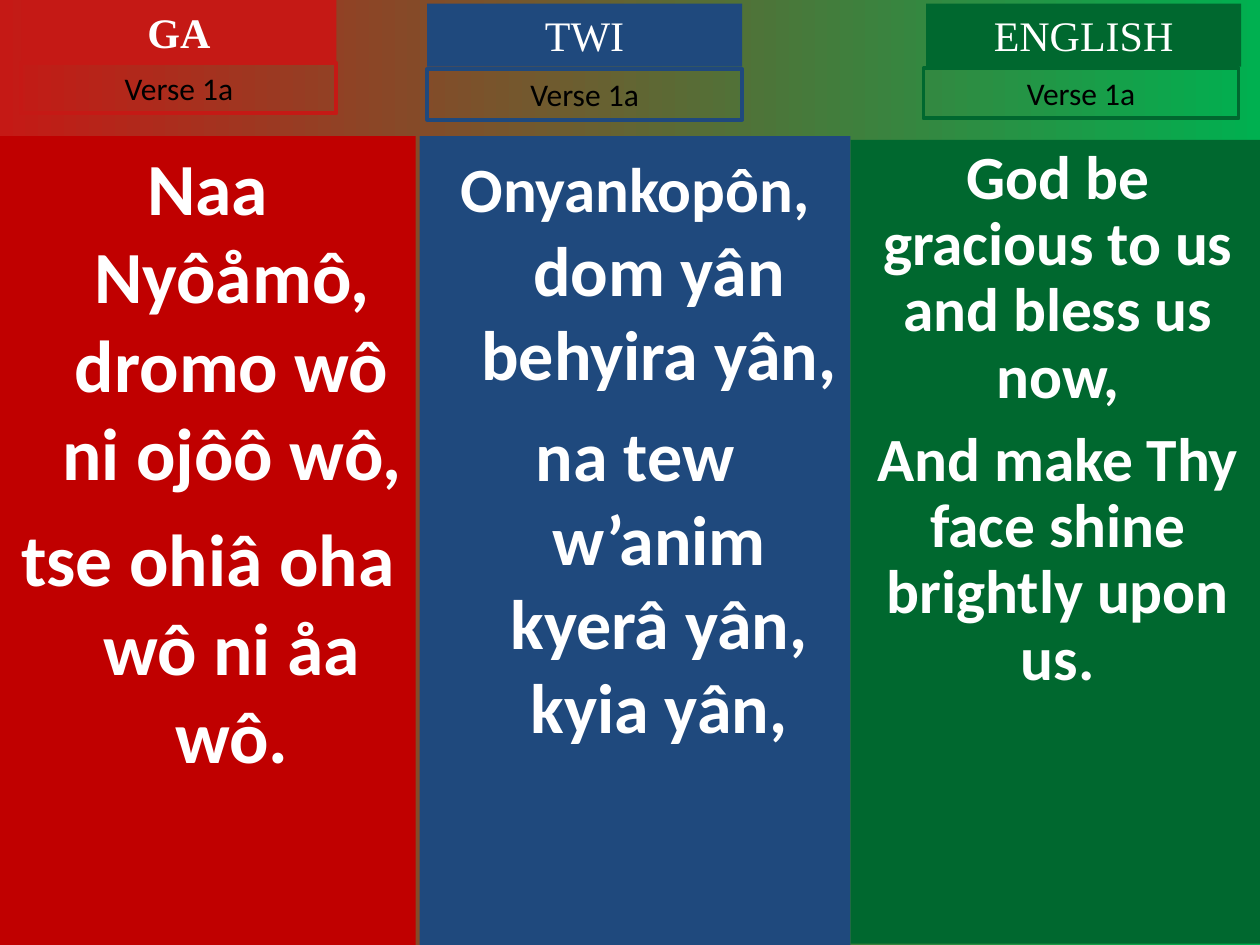
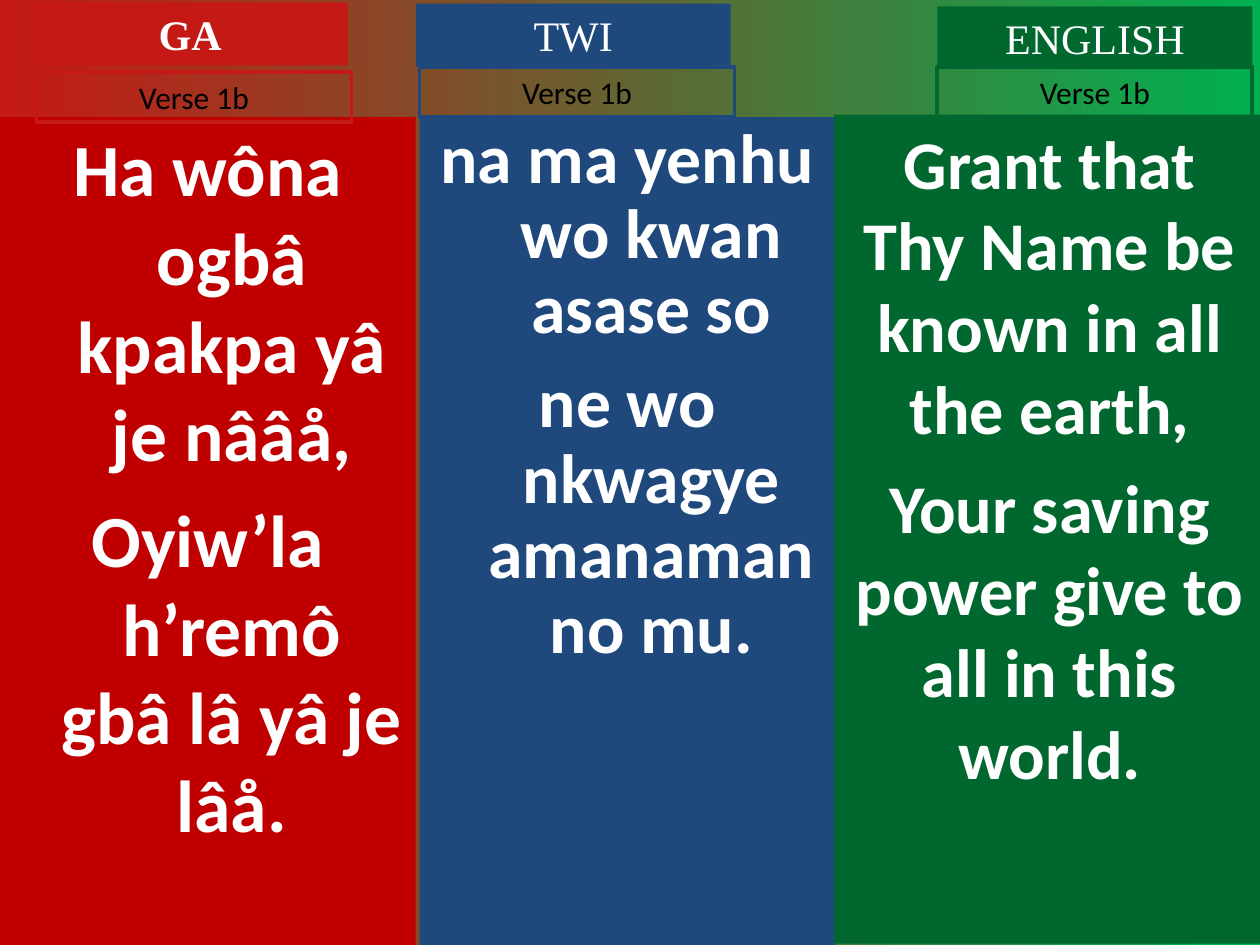
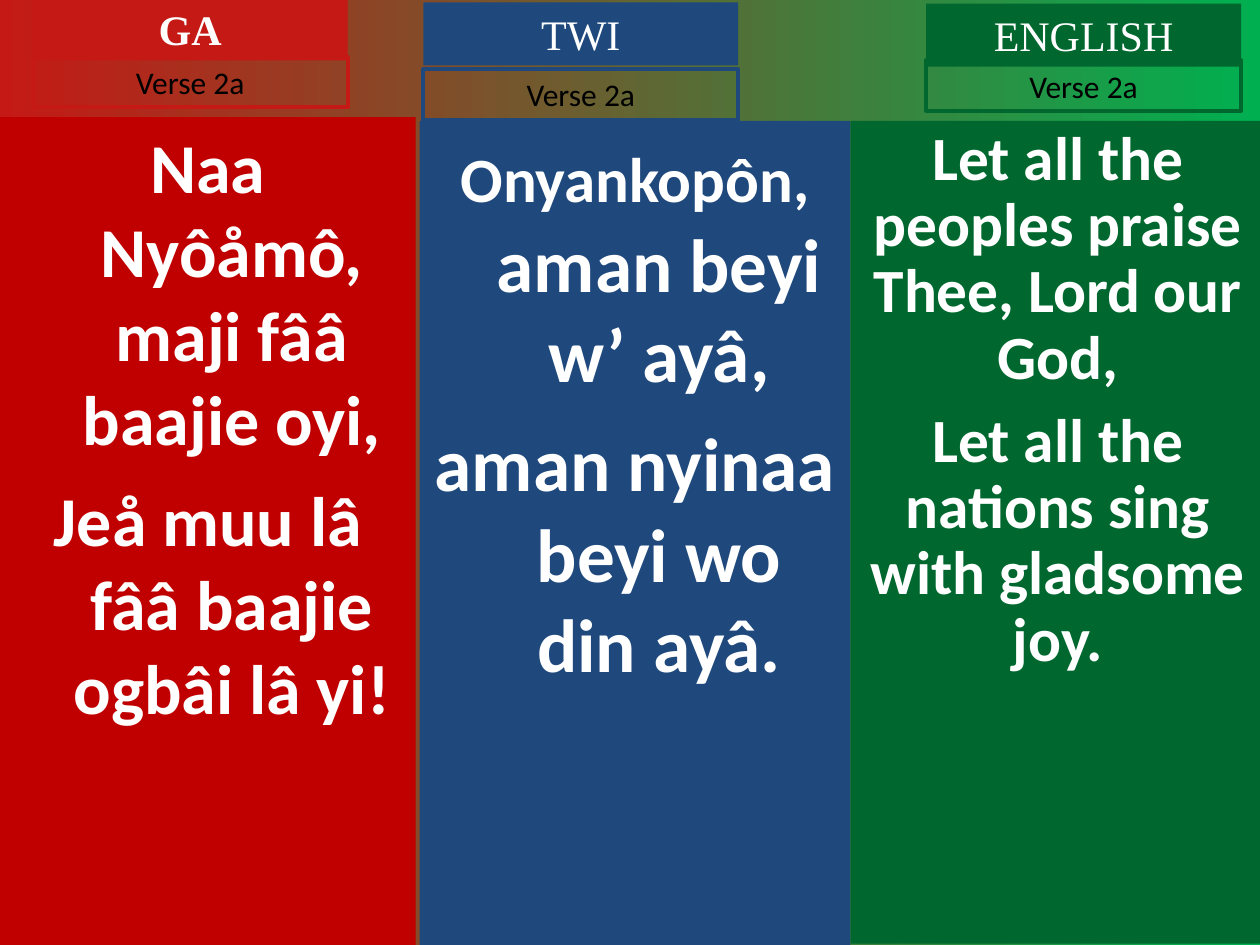
from pptx import Presentation
from pptx.dml.color import RGBColor
from pptx.enum.shapes import MSO_SHAPE
from pptx.enum.text import MSO_ANCHOR, PP_ALIGN
from pptx.util import Inches, Pt

RECT = MSO_SHAPE.RECTANGLE
TOP = MSO_ANCHOR.TOP
CENTER = PP_ALIGN.CENTER

COLORS = {
    "bg_start": "C51915", "bg_end": "00B050",
    "ga": "C00000", "ga_head": "C51915",
    "twi": "1F497D", "english": "00682F",
    "white": "FFFFFF", "black": "000000",
}
RGB = {name: RGBColor.from_string(value) for name, value in COLORS.items()}

prs = Presentation()
prs.slide_width, prs.slide_height = Inches(10), Inches(7.5)
COL = prs.slide_width // 1000
ROW = prs.slide_height // 750
HEAD_W, HEAD_H, LABEL_H = 250, 50, 40
INDENT = 38

LANGUAGES = [
    {"title": "GA", "fill": "ga", "head": "ga_head", "bold": True, "indent": INDENT, "bottom": 750},
    {"title": "TWI", "fill": "twi", "head": "twi", "bold": False, "indent": INDENT, "bottom": 750},
    {"title": "ENGLISH", "fill": "english", "head": "english", "bold": False, "indent": 0, "bottom": 749},
]

VERSES = [
    ("Verse 1a", [
        {"col": (0, 108, 330), "head": (17, 0), "label": (17, 50), "gap": 10.5, "line": 1,
         "text": [[("Naa Nyôåmô, dromo wô ni ojôô wô,", 42)],
                  [("tse ohiâ oha wô ni åa wô.", 42)]]},
        {"col": (333, 108, 342), "head": (339, 3), "label": (339, 55), "gap": 10, "line": 1,
         "text": [[("Onyankopôn,", 36), (" dom yân behyira yân,", 40)],
                  [("na tew w’anim kyerâ yân, kyia yân,", 40)]]},
        {"col": (675, 111, 329), "head": (735, 3), "label": (733, 54), "gap": 9.5, "line": 0.9,
         "text": [[("God be gracious to us and bless us now,", 35.1)],
                  [("And make Thy face shine brightly upon us.", 35.1)]]},
    ]),
    ("Verse 1b", [
        {"col": (0, 93, 330), "head": (26, 2), "label": (29, 57), "gap": 10.5, "line": 1,
         "text": [[("Ha wôna ogbâ kpakpa yâ je nââå,", 42)],
                  [("Oyiw’la h’remô gbâ lâ yâ je lâå.", 42)]]},
        {"col": (333, 93, 330), "head": (330, 3), "label": (333, 53), "gap": 10.7, "line": 0.9,
         "text": [[("na ma yenhu wo kwan asase so", 39.8)],
                  [("ne wo nkwagye amanaman no mu.", 39.8)]]},
        {"col": (662, 91, 342), "head": (744, 5), "label": (744, 53), "gap": 9.8, "line": 1,
         "text": [[("Grant that Thy Name be known in all the earth,", 39)],
                  [("Your saving power give to all in this world.", 39)]]},
    ]),
    ("Verse 2a", [
        {"col": (0, 93, 330), "head": (26, -2), "label": (26, 45), "gap": 10, "line": 1,
         "text": [[("Naa Nyôåmô, maji fââ baajie oyi,", 40)],
                  [("Jeå muu lâ fââ baajie ogbâi lâ yi!", 40)]]},
        {"col": (333, 96, 342), "head": (336, 2), "label": (336, 55), "gap": 10.7, "line": 1,
         "text": [[("Onyankopôn,", 36), (" aman beyi w’ ayâ,", 43)],
                  [("aman nyinaa beyi wo din ayâ.", 43)]]},
        {"col": (675, 96, 329), "head": (735, 3), "label": (735, 48), "gap": 9.5, "line": 0.9,
         "text": [[("Let all the peoples praise Thee, Lord our God,", 35.1)],
                  [("Let all the nations sing with gladsome joy.", 35.1)]]},
    ]),
]


def add_box(s, x, y, w, h, fill=None, line=None):
    sp = s.shapes.add_shape(RECT, x * COL, y * ROW, w * COL, h * ROW)
    sp.shadow.inherit = False
    if fill:
        sp.fill.solid()
        sp.fill.fore_color.rgb = RGB[fill]
    else:
        sp.fill.background()
    if line:
        sp.line.color.rgb = RGB[line]
        sp.line.width = Pt(2.25)
    else:
        sp.line.fill.background()
    tf = sp.text_frame
    tf.word_wrap = True
    tf.vertical_anchor = TOP
    return tf


def add_text(tf, paragraphs, font, color, bold, gap=0, line=1, indent=0):
    for i, runs in enumerate(paragraphs):
        p = tf.add_paragraph() if i else tf.paragraphs[0]
        p.alignment = CENTER
        p.line_spacing = float(line)
        p.space_before = Pt(gap if i else 0)
        if indent:
            pPr = p._p.get_or_add_pPr()
            pPr.set("marL", str(indent * COL))
            pPr.set("indent", str(-indent * COL))
        for text, size in runs:
            r = p.add_run()
            r.text = text
            r.font.name = font
            r.font.size = Pt(size)
            r.font.bold = bold
            r.font.color.rgb = RGB[color]


for verse, blocks in VERSES:
    s = prs.slides.add_slide(prs.slide_layouts[6])
    bg = s.background.fill
    bg.gradient()
    bg.gradient_angle = 0
    for stop, position, color in zip(bg.gradient_stops, (0, 1), ("bg_start", "bg_end")):
        stop.position = position
        stop.color.rgb = RGB[color]
    for lang, block in zip(LANGUAGES, blocks):
        x, y, w = block["col"]
        tf = add_box(s, x, y, w, lang["bottom"] - y, fill=lang["fill"])
        add_text(tf, block["text"], "Calibri", "white", True,
                 block["gap"], block["line"], lang["indent"])
        tf = add_box(s, *block["head"], HEAD_W, HEAD_H, fill=lang["head"])
        add_text(tf, [[(lang["title"], 24)]], "Times New Roman", "white", lang["bold"])
        tf = add_box(s, *block["label"], HEAD_W, LABEL_H, line=lang["head"])
        add_text(tf, [[(verse, 18)]], "Calibri", "black", False)

prs.save("out.pptx")
